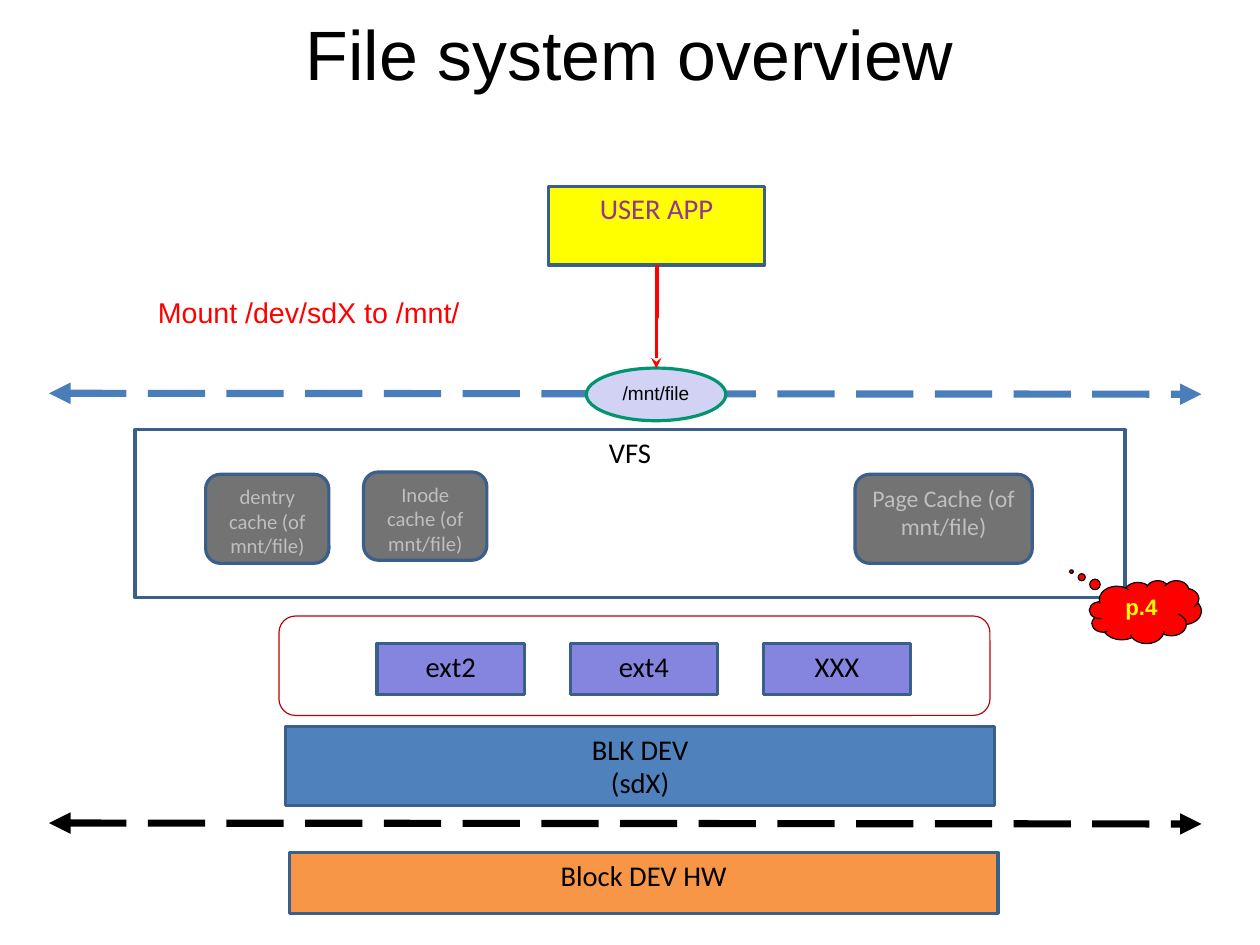
import dataclasses

import pptx
import pptx.dml.color
import pptx.enum.dml
import pptx.enum.shapes
import pptx.enum.text
import pptx.oxml.ns
import pptx.util
from lxml import etree

Cm = pptx.util.Cm
Pt = pptx.util.Pt
SHAPE = pptx.enum.shapes.MSO_SHAPE
CONNECTOR = pptx.enum.shapes.MSO_CONNECTOR
ALIGN = pptx.enum.text.PP_ALIGN
ANCHOR = pptx.enum.text.MSO_ANCHOR
qn = pptx.oxml.ns.qn


@dataclasses.dataclass(frozen=True)
class Theme:
    black: str = "000000"
    white: str = "FFFFFF"
    red: str = "FF0000"
    yellow: str = "FFFF00"
    purple: str = "923595"
    outline: str = "3A5F8B"
    group_outline: str = "C00000"
    filesystem: str = "8585E0"
    block_layer: str = "4F81BD"
    hardware: str = "F79646"
    cache: str = "737373"
    cache_text: str = "BFBFBF"
    file: str = "D2D2F4"
    file_outline: str = "00956F"
    user_boundary: str = "4A7EBB"
    body_font: str = "Calibri"
    label_font: str = "Arial"
    title_size: float = 44
    body_size: float = 18
    page_cache_size: float = 15
    callout_size: float = 14
    cache_size: float = 13
    file_size: float = 12
    border: float = 2
    thin: float = 0.75
    arrow: float = 2.25
    boundary: float = 4.5


def rgb(value):
    return pptx.dml.color.RGBColor.from_string(value)


def apply(target, formats):
    for attribute, value in formats.items():
        setattr(target, attribute, value)


class Diagram:
    def __init__(self, slide, theme):
        self.slide = slide
        self.theme = theme

    def caption(self, holder, text, size, color, font, spacing,
                align=ALIGN.CENTER, anchor=ANCHOR.TOP, bold=False, inset=(0.28, 0.15)):
        frame = holder.text_frame
        side, edge = (Cm(length) for length in inset)
        apply(frame, {
            "text": text, "word_wrap": True, "vertical_anchor": anchor,
            "margin_left": side, "margin_right": side,
            "margin_top": edge, "margin_bottom": edge,
        })
        for paragraph in frame.paragraphs:
            apply(paragraph, {"alignment": align, "line_spacing": spacing})
            apply(paragraph.font, {"size": Pt(size), "name": font, "bold": bold})
            paragraph.font.color.rgb = rgb(color)

    def shape(self, kind, box, fill, outline, width, adjustments=()):
        shape = self.slide.shapes.add_shape(kind, *(Cm(length) for length in box))
        shape.shadow.inherit = False
        shape.fill.solid()
        shape.fill.fore_color.rgb = rgb(fill)
        shape.line.color.rgb = rgb(outline)
        shape.line.width = Pt(width)
        for index, value in enumerate(adjustments):
            shape.adjustments[index] = value
        return shape

    def block(self, text, box, fill, color=None, size=None, kind=SHAPE.RECTANGLE):
        theme = self.theme
        block = self.shape(kind, box, fill, theme.outline, theme.border)
        self.caption(block, text, size or theme.body_size, color or theme.black,
                     theme.body_font, 0.98)

    def cache(self, text, box, size):
        self.block(text, box, self.theme.cache, self.theme.cache_text, size,
                   SHAPE.ROUNDED_RECTANGLE)

    def label(self, text, box, size, color, **formats):
        label = self.slide.shapes.add_textbox(*(Cm(length) for length in box))
        self.caption(label, text, size, color, self.theme.label_font, 0.93, **formats)

    def arrow(self, kind, ends, color, width, heads, dash=None, turn=0):
        arrow = self.slide.shapes.add_connector(kind, *(Cm(length) for length in ends))
        arrow.line.color.rgb = rgb(color)
        apply(arrow.line, {"width": Pt(width), "dash_style": dash})
        properties = arrow._element.spPr
        outline = properties.find(qn("a:ln"))
        for end, style in heads.items():
            etree.SubElement(outline, qn(f"a:{end}"), type=style)
        etree.SubElement(properties, qn("a:effectLst"))
        if turn:
            properties.find(qn("a:xfrm")).set("rot", str(turn * 60000))

    def boundary(self, top, color):
        self.arrow(CONNECTOR.STRAIGHT, (1.09, top, 26.7, top + 0.02), color,
                   self.theme.boundary, {"headEnd": "triangle", "tailEnd": "triangle"},
                   pptx.enum.dml.MSO_LINE.LONG_DASH)


def main():
    presentation = pptx.Presentation()
    apply(presentation, {"slide_width": Cm(28), "slide_height": Cm(21)})
    theme = Theme()
    diagram = Diagram(presentation.slides.add_slide(presentation.slide_layouts[6]), theme)

    diagram.label("File system overview", (1.4, 0.23, 25.2, 2.06), theme.title_size,
                  theme.black, anchor=ANCHOR.MIDDLE, inset=(0, 0))

    diagram.shape(SHAPE.ROUNDED_RECTANGLE, (6.2, 13.69, 15.8, 2.21), theme.white,
                  theme.group_outline, theme.thin)
    for column, filesystem in enumerate(("ext2", "ext4", "XXX")):
        diagram.block(filesystem, (8.38 + 4.29 * column, 14.3, 3.28, 1.14),
                      theme.filesystem)

    diagram.block("BLK DEV\n(sdX)", (6.35, 16.15, 15.75, 1.75), theme.block_layer)
    diagram.block("Block DEV HW", (6.43, 18.95, 15.75, 1.35), theme.hardware)
    diagram.block("USER APP", (12.19, 4.14, 4.8, 1.75), theme.yellow, theme.purple)
    diagram.block("VFS", (3, 9.55, 22, 3.73), theme.white)

    diagram.cache("dentry cache (of mnt/file)", (4.57, 10.54, 2.74, 1.98), theme.cache_size)
    diagram.cache("Inode cache (of mnt/file)", (8.08, 10.49, 2.74, 1.96), theme.cache_size)
    diagram.cache("Page Cache (of mnt/file)", (19, 10.54, 3.94, 1.98), theme.page_cache_size)

    diagram.boundary(8.74, theme.user_boundary)
    diagram.boundary(18.29, theme.black)

    diagram.label("Mount /dev/sdX to /mnt/", (3.23, 6.48, 9.8, 0.99), theme.body_size,
                  theme.red, align=ALIGN.LEFT)
    mounted_file = diagram.shape(SHAPE.OVAL, (13.03, 8.18, 3.1, 1.17), theme.file,
                                 theme.file_outline, theme.border)
    diagram.caption(mounted_file, "/mnt/file", theme.file_size, theme.black,
                    theme.label_font, 0.93, anchor=ANCHOR.MIDDLE)
    diagram.arrow(CONNECTOR.ELBOW, (13.45, 7.03, 15.74, 7.05), theme.red, theme.arrow,
                  {"tailEnd": "stealth"}, turn=90)

    page_reference = diagram.shape(SHAPE.CLOUD_CALLOUT, (24.21, 12.9, 2.49, 1.4), theme.red,
                                   theme.black, theme.thin, (-0.66, -0.64))
    diagram.caption(page_reference, "p.4", theme.callout_size, theme.yellow,
                    theme.label_font, 0.93, bold=True, inset=(0.25, 0.13))

    presentation.save("out.pptx")


if __name__ == "__main__":
    main()
